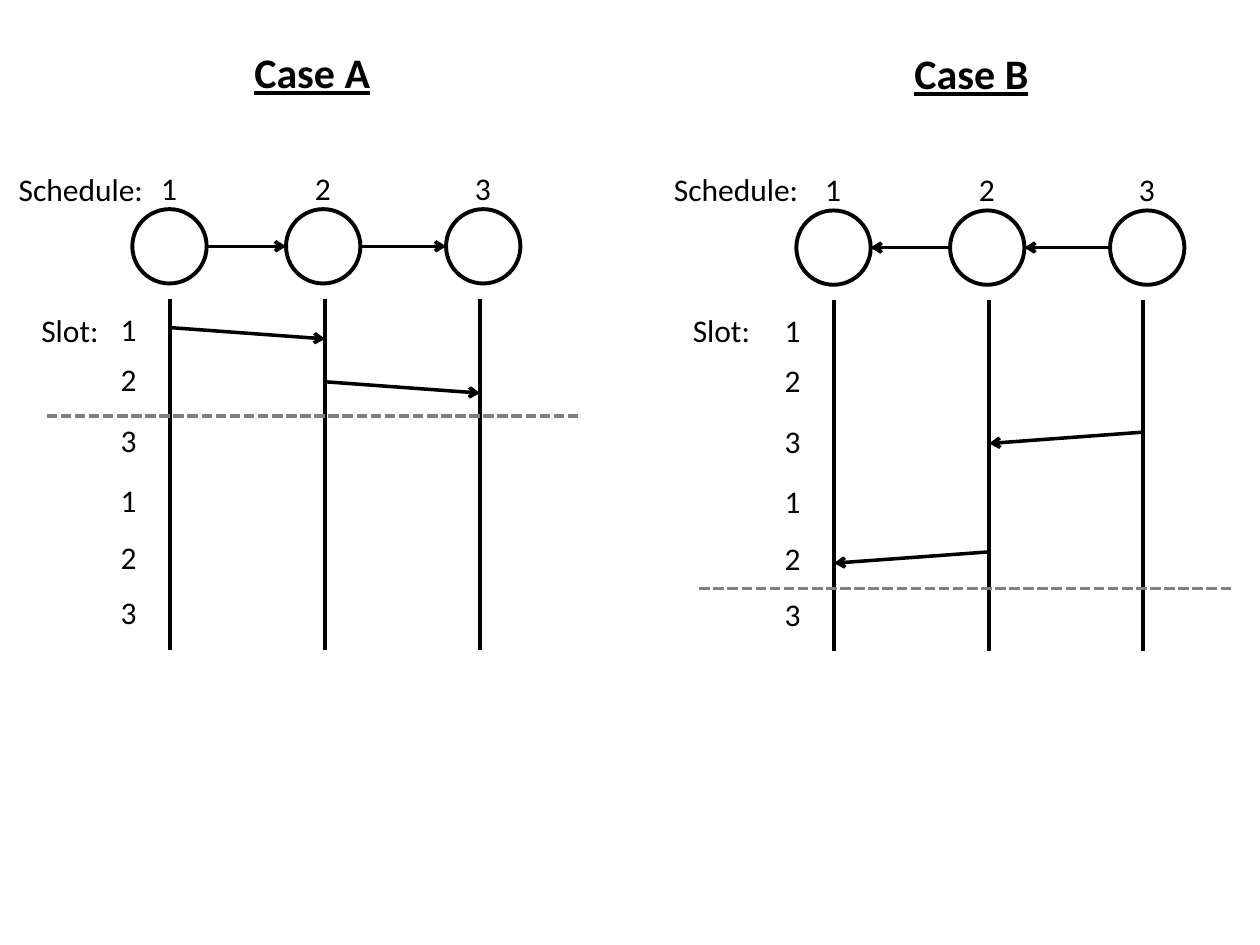
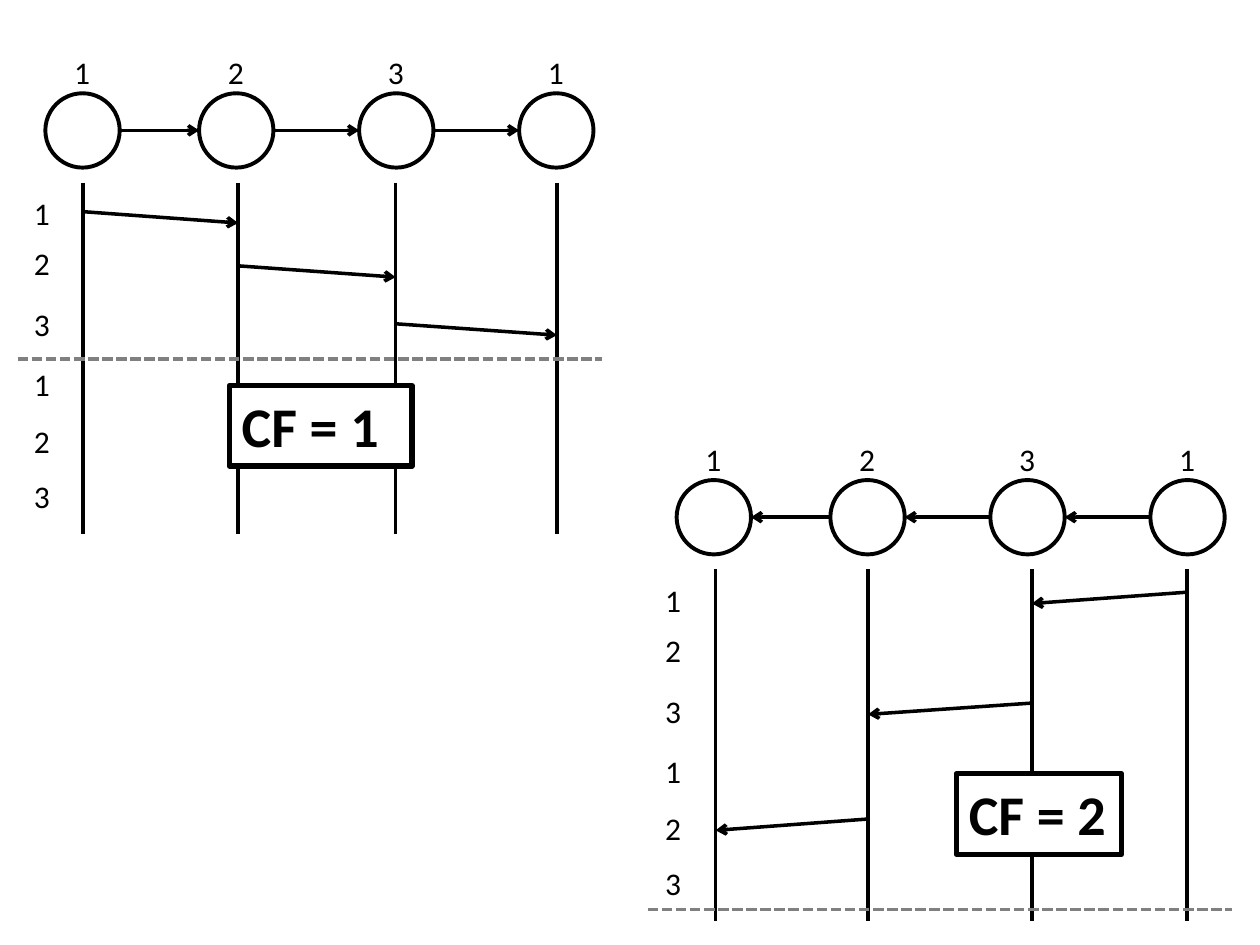
from lxml.etree import SubElement
from pptx import Presentation
from pptx.dml.color import RGBColor
from pptx.enum.dml import MSO_LINE
from pptx.enum.shapes import MSO_CONNECTOR, MSO_SHAPE
from pptx.enum.text import MSO_ANCHOR, MSO_AUTO_SIZE, PP_ALIGN
from pptx.oxml.ns import qn
from pptx.util import Inches, Pt

COLORS = {"ink": "000000", "paper": "FFFFFF", "deadline": "808080"}

LABEL = {"name": "Calibri", "size": Pt(18)}
TITLE = {"name": "Calibri", "size": Pt(24), "bold": True, "underline": True}
RESULT = {"name": "Calibri", "size": Pt(32), "bold": True}

# Inches. A hop is (from node, to node, start height); captions are
# (text, left, top, width, height, format); result is (text, left, top, width).
SLIDES = [
    [
        {
            "left": 1.05, "top": 1.66, "nodes": "123", "timelines": [1.35, 2.58, 3.81],
            "hops": [(0, 1, 2.6), (1, 2, 3.03)],
            "deadline": (0.37, 4.59, 3.3),
            "captions": [
                ("Case A", 1.92, 0.32, 1.14, 0.5, TITLE),
                ("Schedule:", 0.05, 1.3, 1.2, 0.4, LABEL),
                ("Slot:", 0.23, 2.42, 0.66, 0.4, LABEL),
            ],
        },
        {
            "left": 6.32, "top": 1.67, "nodes": "123", "timelines": [6.62, 7.85, 9.07],
            "hops": [(2, 1, 3.43), (1, 0, 4.38)],
            "deadline": (5.55, 9.77, 4.67),
            "captions": [
                ("Case B", 7.16, 0.33, 1.14, 0.5, TITLE),
                ("Schedule:", 5.25, 1.3, 1.2, 0.4, LABEL),
                ("Slot:", 5.4, 2.42, 0.66, 0.4, LABEL),
            ],
        },
    ],
    [
        {
            "left": 0.36, "top": 0.74, "nodes": "1231",
            "timelines": [0.66, 1.89, 3.14, 4.42],
            "hops": [(0, 1, 1.68), (1, 2, 2.11), (2, 3, 2.57)],
            "deadline": (0.14, 4.78, 2.85),
            "result": ("CF = 1", 1.82, 3.06, 1.45),
        },
        {
            "left": 5.37, "top": 3.81, "nodes": "1231",
            "timelines": [5.68, 6.89, 8.19, 9.42],
            "hops": [(3, 2, 4.7), (2, 1, 5.58), (1, 0, 6.5)],
            "deadline": (5.14, 9.78, 7.22),
            "result": ("CF = 2", 7.59, 6.14, 1.31),
        },
    ],
]

# Offsets from the top left corner of a diagram's first node
NODE_OFFSETS = [0, 1.22, 2.49, 3.76]
NODE_SIZE = 0.59
SLOTS = [("1", 0.75), ("2", 1.15), ("3", 1.63), ("1", 2.11), ("2", 2.56), ("3", 3.0)]
SLOT_LEFT = -0.19
TIMELINE_SPAN = (0.71, 3.5)
HOP_DROP = 0.09
NUMBER_SIZE = (0.33, 0.4)


def color(name):
    return RGBColor.from_string(COLORS[name])


def write(shape, text, style, wrap=False):
    frame = shape.text_frame
    frame.word_wrap = wrap
    frame.auto_size = MSO_AUTO_SIZE.SHAPE_TO_FIT_TEXT
    frame.vertical_anchor = MSO_ANCHOR.TOP
    para = frame.paragraphs[0]
    para.alignment = PP_ALIGN.LEFT
    span = para.add_run()
    span.text = text
    for key, value in style.items():
        setattr(span.font, key, value)
    span.font.color.rgb = color("ink")


def add_text(page, text, left, top, width, height, style=LABEL):
    box = page.shapes.add_textbox(*map(Inches, (left, top, width, height)))
    write(box, text, style)


def add_outlined(page, kind, left, top, width, height, weight):
    shape = page.shapes.add_shape(kind, *map(Inches, (left, top, width, height)))
    shape.shadow.inherit = False
    shape.fill.solid()
    shape.fill.fore_color.rgb = color("paper")
    shape.line.color.rgb = color("ink")
    shape.line.width = Pt(weight)
    return shape


def add_line(page, start, end, ink="ink", arrow=False, dash=None):
    line = page.shapes.add_connector(MSO_CONNECTOR.STRAIGHT, *map(Inches, start + end))
    line.line.color.rgb = color(ink)
    line.line.width = Pt(2)
    if dash:
        line.line.dash_style = dash
    if arrow:
        SubElement(line.line._get_or_add_ln(), qn("a:tailEnd"), type="arrow")
    SubElement(line._element.spPr, qn("a:effectLst"))


def add_nodes(page, diagram):
    """Draw the numbered nodes and the arrows between neighbours, in hop direction."""
    top = diagram["top"]
    lefts = [diagram["left"] + offset for offset in NODE_OFFSETS]
    for number, left in zip(diagram["nodes"], lefts):
        add_outlined(page, MSO_SHAPE.OVAL, left, top, NODE_SIZE, NODE_SIZE, 2.25)
        add_text(page, number, left + 0.13, top - 0.37, *NUMBER_SIZE)
    middle = top + NODE_SIZE / 2
    for source, target, _ in diagram["hops"]:
        start, end = lefts[source], lefts[target]
        if source < target:
            start += NODE_SIZE
        else:
            end += NODE_SIZE
        add_line(page, (start, middle), (end, middle), arrow=True)


def add_diagram(page, diagram):
    left, top, timelines = diagram["left"], diagram["top"], diagram["timelines"]
    for caption in diagram.get("captions", []):
        add_text(page, *caption)
    add_nodes(page, diagram)
    for x in timelines:
        add_line(page, *[(x, top + offset) for offset in TIMELINE_SPAN])
    for number, offset in SLOTS:
        add_text(page, number, left + SLOT_LEFT, top + offset, *NUMBER_SIZE)
    for source, target, y in diagram["hops"]:
        add_line(page, (timelines[source], y), (timelines[target], y + HOP_DROP), arrow=True)
    start, end, y = diagram["deadline"]
    add_line(page, (start, y), (end, y), "deadline", dash=MSO_LINE.SQUARE_DOT)
    if "result" in diagram:
        text, *place = diagram["result"]
        box = add_outlined(page, MSO_SHAPE.RECTANGLE, *place, 0.64, 3)
        write(box, text, RESULT, wrap=True)


def main():
    deck = Presentation()
    deck.slide_width, deck.slide_height = Inches(10), Inches(7.5)
    for diagrams in SLIDES:
        page = deck.slides.add_slide(deck.slide_layouts[6])
        for diagram in diagrams:
            add_diagram(page, diagram)
    deck.save("out.pptx")


if __name__ == "__main__":
    main()
